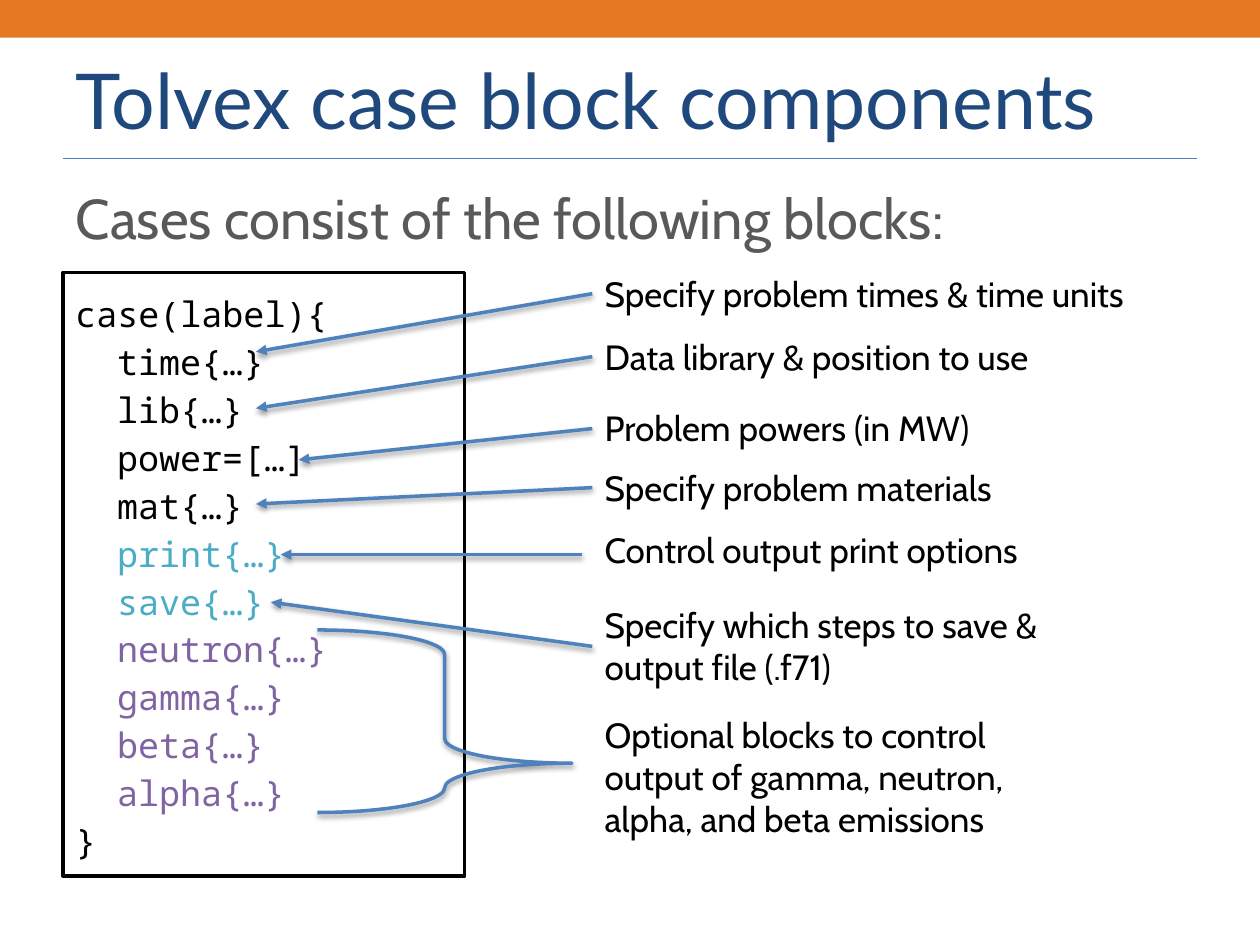
import pptx
import pptx.util
import pptx.dml.color
import pptx.enum.shapes
import pptx.enum.text
import pptx.oxml
import pptx.oxml.ns

Cm = pptx.util.Cm
Pt = pptx.util.Pt
Shape = pptx.enum.shapes.MSO_SHAPE
Anchor = pptx.enum.text.MSO_ANCHOR
COLORS = {
    "bar": "E47823", "rule": "4B7EBC", "title": "1F497D", "body": "595959",
    "arrow": "4F81BD", "white": "FFFFFF", "black": "000000",
    "output": "4BACC6", "emission": "8064A2",
}
NS = 'xmlns:a="http://schemas.openxmlformats.org/drawingml/2006/main"'
SHADOW = (
    f'<a:effectLst {NS}><a:outerShdw blurRad="39400" dist="20300" dir="5400000" '
    'rotWithShape="0"><a:srgbClr val="000000"><a:alpha val="38000"/>'
    '</a:srgbClr></a:outerShdw></a:effectLst>'
)


class SlideBuilder:
    def __init__(self, slide):
        self.slide = slide
        self.shapes = slide.shapes

    def color(self, name):
        return pptx.dml.color.RGBColor.from_string(COLORS[name])

    def outline(self, line, color, width):
        line.color.rgb = self.color(color)
        line.width = Pt(width)

    def effects(self, element, shadow):
        properties = element._element.spPr
        for old in properties.findall(pptx.oxml.ns.qn("a:effectLst")):
            properties.remove(old)
        properties.append(pptx.oxml.parse_xml(SHADOW if shadow else f"<a:effectLst {NS}/>"))

    def run(self, paragraph, text, font, size, color):
        run = paragraph.add_run()
        run.text = text
        run.font.name = font
        run.font.size = Pt(size)
        run.font.color.rgb = self.color(color)

    def placeholder(self, index, box, text, font, size, color, anchor):
        holder = self.slide.placeholders[index]
        holder.left, holder.top, holder.width, holder.height = map(Cm, box)
        frame = holder.text_frame
        frame.word_wrap = True
        frame.auto_size = pptx.enum.text.MSO_AUTO_SIZE.NONE
        frame.vertical_anchor = anchor
        paragraph = frame.paragraphs[0]
        paragraph.alignment = pptx.enum.text.PP_ALIGN.LEFT
        properties = paragraph._p.get_or_add_pPr()
        properties.set("marL", "0")
        properties.set("indent", "0")
        properties.append(pptx.oxml.parse_xml(f"<a:buNone {NS}/>"))
        self.run(paragraph, text, font, size, color)

    def shape(self, preset, box, fill=None, line=None, shadow=False):
        shape = self.shapes.add_shape(preset, *map(Cm, box))
        shape.shadow.inherit = False
        if fill:
            shape.fill.solid()
            shape.fill.fore_color.rgb = self.color(fill)
        else:
            shape.fill.background()
        if line:
            self.outline(shape.line, line, 2)
        else:
            shape.line.fill.background()
        if shadow:
            self.effects(shape, True)
        return shape

    def code(self, box, lines):
        frame = self.shape(Shape.RECTANGLE, box, "white", "black").text_frame
        frame.word_wrap = True
        frame.vertical_anchor = Anchor.MIDDLE
        frame.margin_top = frame.margin_bottom = Cm(0.25)
        for number, (text, color, indent) in enumerate(lines):
            paragraph = frame.add_paragraph() if number else frame.paragraphs[0]
            paragraph.alignment = pptx.enum.text.PP_ALIGN.LEFT
            paragraph.line_spacing = 1.14
            paragraph._p.get_or_add_pPr().set("marL", str(Cm(indent)))
            self.run(paragraph, text, "Noto Sans Mono", 20, color)

    def note(self, box, text):
        frame = self.shapes.add_textbox(*map(Cm, box)).text_frame
        frame.word_wrap = True
        self.run(frame.paragraphs[0], text, "Cabin", 20, "black")

    def line(self, start, end, color, width, arrow=False):
        connector = self.shapes.add_connector(
            pptx.enum.shapes.MSO_CONNECTOR.STRAIGHT, *map(Cm, start + end))
        self.outline(connector.line, color, width)
        if arrow:
            connector.line._get_or_add_ln().append(
                pptx.oxml.parse_xml(f'<a:tailEnd {NS} type="triangle"/>'))
        self.effects(connector, arrow)


deck = pptx.Presentation()
deck.slide_width, deck.slide_height = Cm(25.4), Cm(19.05)
builder = SlideBuilder(deck.slides.add_slide(deck.slide_layouts[1]))

builder.line((1.27, 3.2), (24.13, 3.2), "rule", 0.75)
builder.shape(Shape.RECTANGLE, (0, 0, 25.4, 0.76), "bar")
builder.placeholder(0, (1.27, 0.76, 22.86, 2.44), "Tolvex case block components",
                    "Lato", 44, "title", Anchor.MIDDLE)
builder.placeholder(1, (1.27, 3.58, 22.86, 13.44), "Cases consist of the following blocks:",
                    "Cabin", 32, "body", Anchor.TOP)

blocks = [
    ("black", ["time{…}", "lib{…}", "power=[…]", "mat{…}"]),
    ("output", ["print{…}", "save{…}"]),
    ("emission", ["neutron{…}", "gamma{…}", "beta{…}", "alpha{…}"]),
]
case_lines = [("case(label){", "black", 0)]
case_lines += [(block, color, 0.84) for color, group in blocks for block in group]
case_lines.append(("}", "black", 0))
builder.code((1.27, 5.49, 8.1, 12.17), case_lines)

emission_brace = builder.shape(Shape.RIGHT_BRACE, (6.4, 12.7, 5.13, 3.68),
                               line="arrow", shadow=True)
emission_brace.adjustments[0] = 0.146
emission_brace.adjustments[1] = 0.73

NOTE_LEFT = 11.94
notes = [
    ("Specify problem times & time units", 5.36, 12.55, 1.12, (NOTE_LEFT, 5.92), (5.16, 7.09)),
    ("Data library & position to use", 6.63, 12.55, 1.12, (NOTE_LEFT, 7.19), (5.16, 8.23)),
    ("Problem powers (in MW)", 8.08, 11.48, 1.12, (NOTE_LEFT, 8.64), (6.02, 9.27)),
    ("Specify problem materials", 9.27, 11.48, 1.12, (NOTE_LEFT, 9.83), (5.16, 10.16)),
    ("Control output print options", 10.52, 11.48, 1.12, (11.73, 11.18), (5.66, 11.18)),
    ("Specify which steps to save & output file (.f71)", 12.04, 10.39, 1.96,
     (NOTE_LEFT, 13.03), (5.46, 12.14)),
    ("Optional blocks to control output of gamma, neutron, alpha, and beta emissions",
     14.25, 9.93, 2.82, None, None),
]
for text, top, width, height, start, tip in notes:
    builder.note((NOTE_LEFT, top, width, height), text)
    if tip:
        builder.line(start, tip, "arrow", 2, arrow=True)

deck.save("out.pptx")
